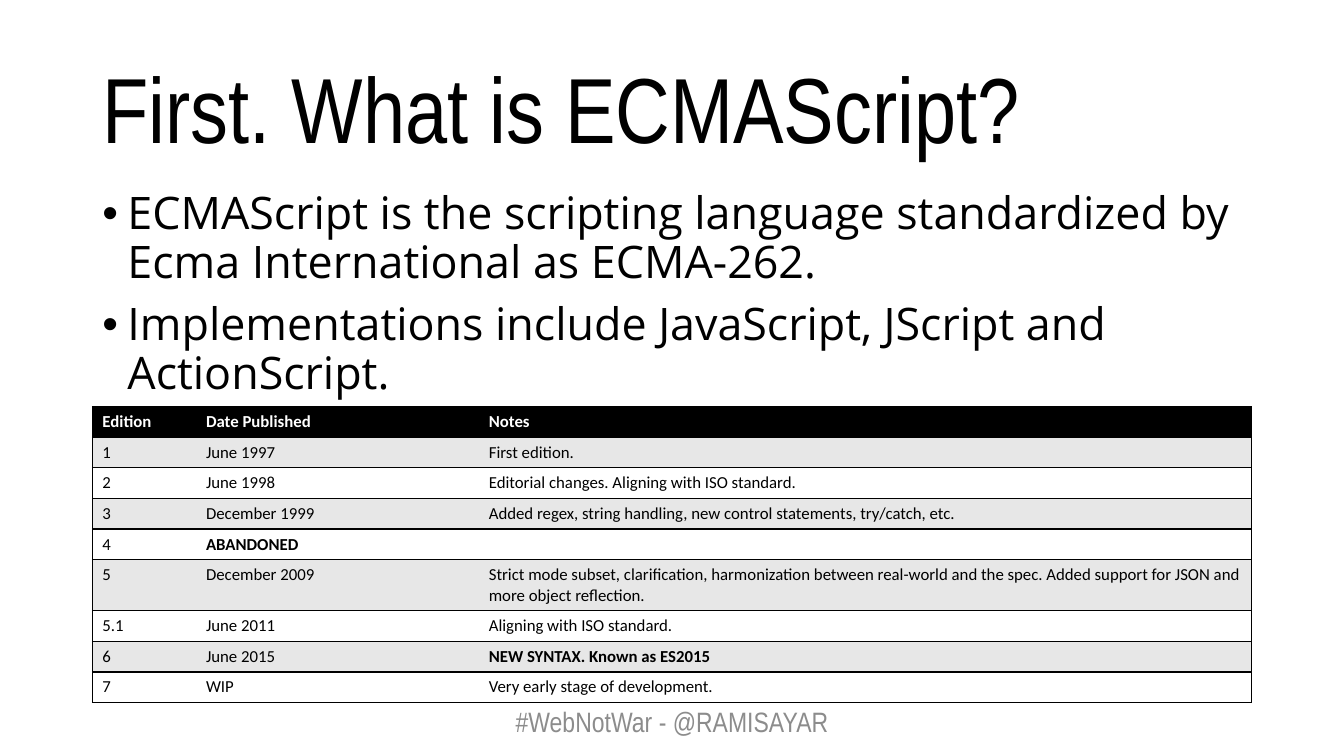
from dataclasses import dataclass

from pptx import Presentation
from pptx.dml.color import RGBColor
from pptx.enum.text import MSO_ANCHOR, MSO_AUTO_SIZE, PP_ALIGN
from pptx.oxml.ns import qn
from pptx.util import Pt
from lxml import etree

MIDDLE, TOP = MSO_ANCHOR.MIDDLE, MSO_ANCHOR.TOP
LEFT, CENTER = PP_ALIGN.LEFT, PP_ALIGN.CENTER
FIXED = MSO_AUTO_SIZE.NONE

TITLE = "First. What is ECMAScript?"
POINTS = [
    "ECMAScript is the scripting language standardized by Ecma International as ECMA-262.",
    "Implementations include JavaScript, JScript and ActionScript.",
]
FOOTER = "#WebNotWar - @RAMISAYAR"
EDITIONS = [
    ("Edition", "Date Published", "Notes"),
    ("1", "June 1997", "First edition."),
    ("2", "June 1998", "Editorial changes. Aligning with ISO standard."),
    ("3", "December 1999",
     "Added regex, string handling, new control statements, try/catch, etc."),
    ("4", "ABANDONED", ""),
    ("5", "December 2009",
     "Strict mode subset, clarification, harmonization between real-world and the spec. "
     "Added support for JSON and more object reflection."),
    ("5.1", "June 2011", "Aligning with ISO standard."),
    ("6", "June 2015", "NEW SYNTAX. Known as ES2015"),
    ("7", "WIP", "Very early stage of development."),
]
STRONG = {"ABANDONED", "NEW SYNTAX. Known as ES2015"}


@dataclass(frozen=True)
class Theme:
    ink: str = "000000"
    paper: str = "FFFFFF"
    band: str = "E7E7E7"
    muted: str = "8C8C8C"
    head: str = "Arial Narrow"
    body: str = "Open Sans"
    cell: str = "Calibri"
    title_size: int = 66
    body_size: int = 32
    foot_size: int = 20
    cell_size: int = 12


THEME = Theme()
EDGE, WIDE = 66, 828
COLS = (74, 202, 552)
ROW, TALL = 21, 33


def style(para, face, size, color, bold=False):
    for run in para.runs:
        font = run.font
        font.name, font.size, font.bold = face, Pt(size), bold
        font.color.rgb = RGBColor.from_string(color)


def place(shape, left, top, width, height, anchor):
    shape.left, shape.top = Pt(left), Pt(top)
    shape.width, shape.height = Pt(width), Pt(height)
    frame = shape.text_frame
    frame.word_wrap, frame.auto_size = True, FIXED
    frame.vertical_anchor = anchor
    return frame


def add_box(slide, *area):
    return place(slide.shapes.add_textbox(0, 0, 0, 0), *area)


def add_bullet(para):
    props = para._p.get_or_add_pPr()
    props.set("marL", str(Pt(18)))
    props.set("indent", str(-Pt(18)))
    etree.SubElement(props, qn("a:buFont")).set("typeface", "Arial")
    etree.SubElement(props, qn("a:buChar")).set("char", "•")


def rule(cell, sides):
    """Draw the given sides of a cell and clear the others."""
    props = cell._tc.get_or_add_tcPr()
    for side in "LRTB":
        line = etree.SubElement(props, qn("a:ln" + side), w=str(Pt(1)))
        if side in sides:
            fill = etree.SubElement(line, qn("a:solidFill"))
            etree.SubElement(fill, qn("a:srgbClr"), val=THEME.ink)
        else:
            etree.SubElement(line, qn("a:noFill"))


def add_title(slide):
    frame = place(slide.shapes.title, EDGE, 29, WIDE, 104, MIDDLE)
    frame.text = TITLE
    para = frame.paragraphs[0]
    para.alignment, para.line_spacing = LEFT, 0.9
    style(para, THEME.head, THEME.title_size, THEME.ink)


def add_points(slide):
    frame = add_box(slide, EDGE, 133, WIDE, 354, TOP)
    frame.text = "\n".join(POINTS)
    for i, para in enumerate(frame.paragraphs):
        add_bullet(para)
        para.line_spacing = 0.9
        para.space_before = Pt(10 if i else 0)
        style(para, THEME.body, THEME.body_size, THEME.ink)


def add_footer(slide):
    frame = add_box(slide, 318, 500.5, 324, 29, MIDDLE)
    frame.text = FOOTER
    para = frame.paragraphs[0]
    para.alignment = CENTER
    style(para, THEME.head, THEME.foot_size, THEME.muted)


def add_editions(slide):
    heights = [TALL if row[0] == "5" else ROW for row in EDITIONS]
    table = slide.shapes.add_table(
        len(EDITIONS), len(COLS), Pt(EDGE), Pt(290.5), Pt(WIDE), Pt(sum(heights))
    ).table
    for col, width in zip(table.columns, COLS):
        col.width = Pt(width)
    for r, texts in enumerate(EDITIONS):
        table.rows[r].height = Pt(heights[r])
        back = (THEME.band if r % 2 else THEME.paper) if r else THEME.ink
        for c, text in enumerate(texts):
            cell = table.cell(r, c)
            rule(cell, "TB" + ("L", "", "R")[c])
            cell.fill.solid()
            cell.fill.fore_color.rgb = RGBColor.from_string(back)
            cell.text_frame.text = text
            para = cell.text_frame.paragraphs[0]
            color = THEME.ink if r else THEME.paper
            style(para, THEME.cell, THEME.cell_size, color, r == 0 or text in STRONG)
            if not text:
                end = etree.SubElement(para._p, qn("a:endParaRPr"))
                end.set("sz", str(THEME.cell_size * 100))


def main():
    deck = Presentation()
    deck.slide_width, deck.slide_height = Pt(960), Pt(540)
    slide = deck.slides.add_slide(deck.slide_layouts[5])
    add_title(slide)
    add_points(slide)
    add_footer(slide)
    add_editions(slide)
    deck.save("out.pptx")


if __name__ == "__main__":
    main()
